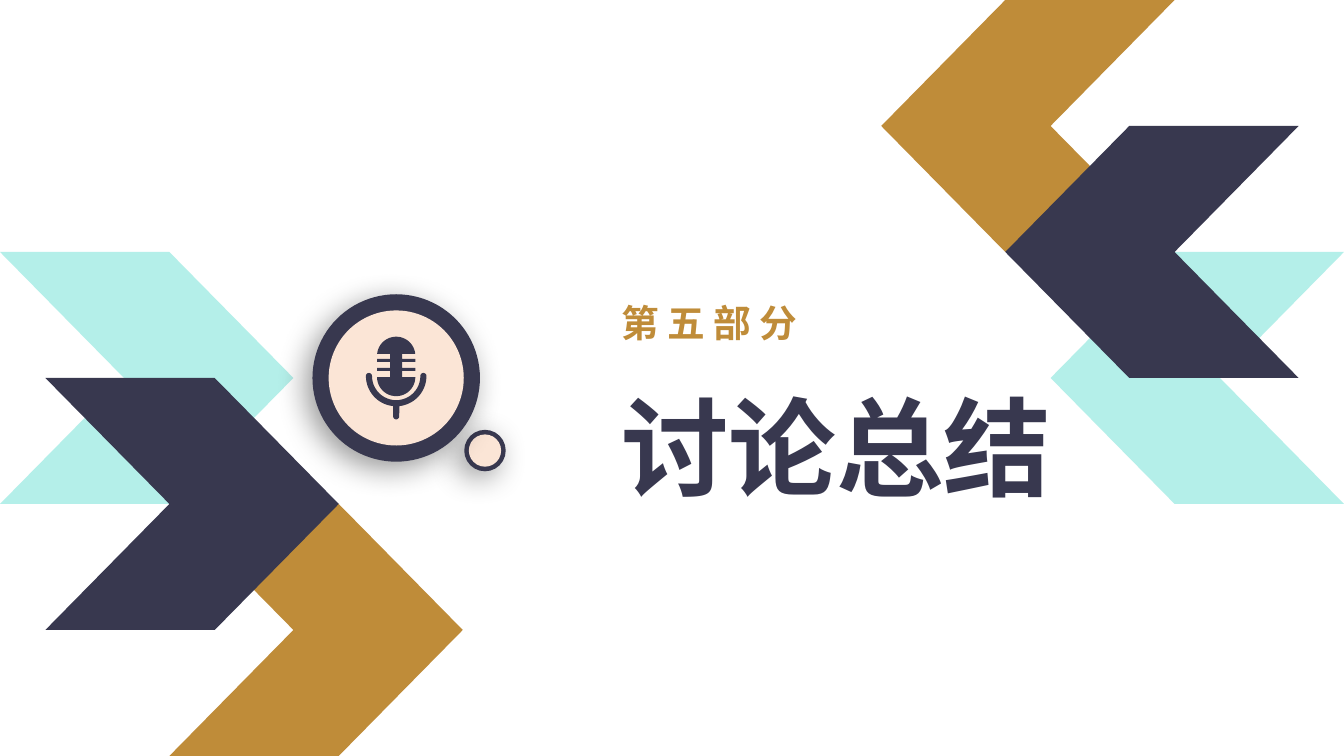
"""Builds a section slide with mirrored chevrons, a microphone badge and a heading."""
from dataclasses import dataclass
from math import cos, radians, sin
from typing import Any

from lxml.etree import SubElement
from pptx import Presentation
from pptx.dml.color import RGBColor
from pptx.enum.shapes import MSO_SHAPE
from pptx.enum.text import MSO_ANCHOR, MSO_AUTO_SIZE, PP_ALIGN
from pptx.oxml.ns import qn
from pptx.util import Inches, Pt

Point = tuple[float, float]

WIDTH, HEIGHT = 13.33, 7.5
ROW = HEIGHT / 6
BAND, STEP = 1.68, 1.23


@dataclass(frozen=True)
class Theme:
    navy: RGBColor = RGBColor.from_string("38384F")
    gold: RGBColor = RGBColor.from_string("BF8C39")
    mint: RGBColor = RGBColor.from_string("B4EFE9")
    peach: RGBColor = RGBColor.from_string("FBE5D6")
    font: str = "Noto Sans CJK SC"
    part_size: float = 26.9
    title_size: float = 76.8


THEME = Theme()


@dataclass(frozen=True)
class Chevron:
    left: float
    row: int
    color: RGBColor


@dataclass(frozen=True)
class Disc:
    x: float
    y: float
    rim: float
    face: float


@dataclass(frozen=True)
class Label:
    placeholder: int
    text: str
    top: float
    width: float
    height: float
    size: float
    color: RGBColor


CHEVRONS = (
    Chevron(0, 2, THEME.mint),
    Chevron(BAND, 4, THEME.gold),
    Chevron(BAND - STEP, 3, THEME.navy),
)
SMALL_DISC = Disc(4.81, 4.47, 0.38, 0.32)
LARGE_DISC = Disc(3.93, 3.75, 1.63, 1.34)
LABEL_LEFT = 6.06
LABELS = (
    Label(1, "第 五 部 分", 2.92, 3.08, 0.55, THEME.part_size, THEME.gold),
    Label(0, "讨论总结", 3.73, 6.62, 1.38, THEME.title_size, THEME.navy),
)


def apply(target: Any, formats: dict[str, Any]) -> None:
    """Set every attribute named in formats."""
    for name, value in formats.items():
        setattr(target, name, value)


def paint(shape: Any, color: RGBColor) -> None:
    """Give a shape a flat fill with neither line nor shadow."""
    shape.shadow.inherit = False
    shape.fill.solid()
    shape.fill.fore_color.rgb = color
    shape.line.fill.background()


def draw_outline(shapes: Any, contours: list[list[Point]], color: RGBColor) -> None:
    """Draw closed contours, in inches, as one filled freeform."""
    scaled = [[(Inches(x), Inches(y)) for x, y in contour] for contour in contours]
    builder = shapes.build_freeform(*scaled[0][0], scale=1.0)
    builder.add_line_segments(scaled[0][1:], close=True)
    for contour in scaled[1:]:
        builder.move_to(*contour[0])
        builder.add_line_segments(contour[1:], close=True)
    paint(builder.convert_to_shape(), color)


def draw_chevron(shapes: Any, chevron: Chevron, turned: bool) -> None:
    """Draw a chevron, or the same one turned about the slide's centre."""
    left, top = chevron.left, chevron.row * ROW
    outline = [
        (left, top), (left + BAND, top), (left + BAND + STEP, top + ROW),
        (left + BAND, top + 2 * ROW), (left, top + 2 * ROW), (left + STEP, top + ROW),
    ]
    if turned:
        outline = [(WIDTH - x, HEIGHT - y) for x, y in outline]
    draw_outline(shapes, [outline], chevron.color)


def add_shadow(shape: Any) -> None:
    """Cast a soft shadow down and to the left."""
    effects = shape._element.spPr.find(qn("a:effectLst"))
    shadow = SubElement(effects, qn("a:outerShdw"), blurRad=str(Pt(22)),
                        dist=str(Pt(7)), dir=str(135 * 60000), algn="tr", rotWithShape="0")
    color = SubElement(shadow, qn("a:srgbClr"), val="000000")
    SubElement(color, qn("a:alpha"), val="40000")


def draw_disc(shapes: Any, disc: Disc) -> None:
    """Draw a shadowed rim with a lighter face inside it."""
    for size, color in ((disc.rim, THEME.navy), (disc.face, THEME.peach)):
        oval = shapes.add_shape(MSO_SHAPE.OVAL, Inches(disc.x - size / 2),
                                Inches(disc.y - size / 2), Inches(size), Inches(size))
        paint(oval, color)
        if size == disc.rim:
            oval.line.color.rgb = color
            oval.line.width = Pt(2.25)
            add_shadow(oval)


def arc(x: float, y: float, radius: float, start: int, end: int) -> list[Point]:
    """Return points along an arc, with clockwise angles in degrees."""
    angles = [radians(start + (end - start) * i / 24) for i in range(25)]
    return [(x + radius * cos(a), y + radius * sin(a)) for a in angles]


def draw_microphone(shapes: Any, x: float) -> None:
    """Draw the slotted capsule and its cradle, centred on x."""
    core, edge, middle = 0.06, 0.19, 3.74
    slots = [(core, 3.51)]
    for top, bottom in ((3.56, 3.59), (3.65, 3.68)):
        slots += [(core, top), (edge, top), (edge, bottom), (core, bottom)]
    slots.append((core, middle))
    capsule = (
        arc(x, 3.53, edge, 186, 354)
        + [(x + dx, y) for dx, y in slots]
        + arc(x, middle, edge, 0, 180)
        + [(x - dx, y) for dx, y in reversed(slots)]
    )
    cradle = (
        arc(x, 3.73, 0.3, 0, 84)
        + arc(x, 4.13, 0.03, 0, 180)
        + arc(x, 3.73, 0.3, 96, 180)
        + arc(x - 0.27, 3.73, 0.03, 180, 360)
        + arc(x, 3.73, 0.24, 180, 0)
        + arc(x + 0.27, 3.73, 0.03, 180, 360)
    )
    draw_outline(shapes, [cradle, capsule], THEME.navy)


def write_label(page: Any, label: Label) -> None:
    """Place and format one heading placeholder."""
    box = page.placeholders[label.placeholder]
    apply(box, {"left": Inches(LABEL_LEFT), "top": Inches(label.top),
                "width": Inches(label.width), "height": Inches(label.height)})
    apply(box.text_frame, {"text": label.text, "word_wrap": True,
                           "auto_size": MSO_AUTO_SIZE.NONE,
                           "vertical_anchor": MSO_ANCHOR.MIDDLE})
    para = box.text_frame.paragraphs[0]
    apply(para, {"alignment": PP_ALIGN.LEFT, "line_spacing": 1.0, "space_before": Pt(0)})
    span = para.runs[0]
    apply(span.font, {"name": THEME.font, "size": Pt(label.size), "bold": True})
    span.font.color.rgb = label.color
    SubElement(span.font._element, qn("a:ea"), typeface=THEME.font)


def main() -> None:
    """Build and save the slide."""
    deck = Presentation()
    apply(deck, {"slide_width": Inches(WIDTH), "slide_height": Inches(HEIGHT)})
    page = deck.slides.add_slide(deck.slide_layouts.get_by_name("Section Header"))
    for turned in (True, False):
        for chevron in CHEVRONS:
            draw_chevron(page.shapes, chevron, turned)
    for label in LABELS:
        write_label(page, label)
    draw_disc(page.shapes.add_group_shape().shapes, SMALL_DISC)
    badge = page.shapes.add_group_shape().shapes
    draw_disc(badge, LARGE_DISC)
    draw_microphone(badge, LARGE_DISC.x)
    deck.save("out.pptx")


if __name__ == "__main__":
    main()
